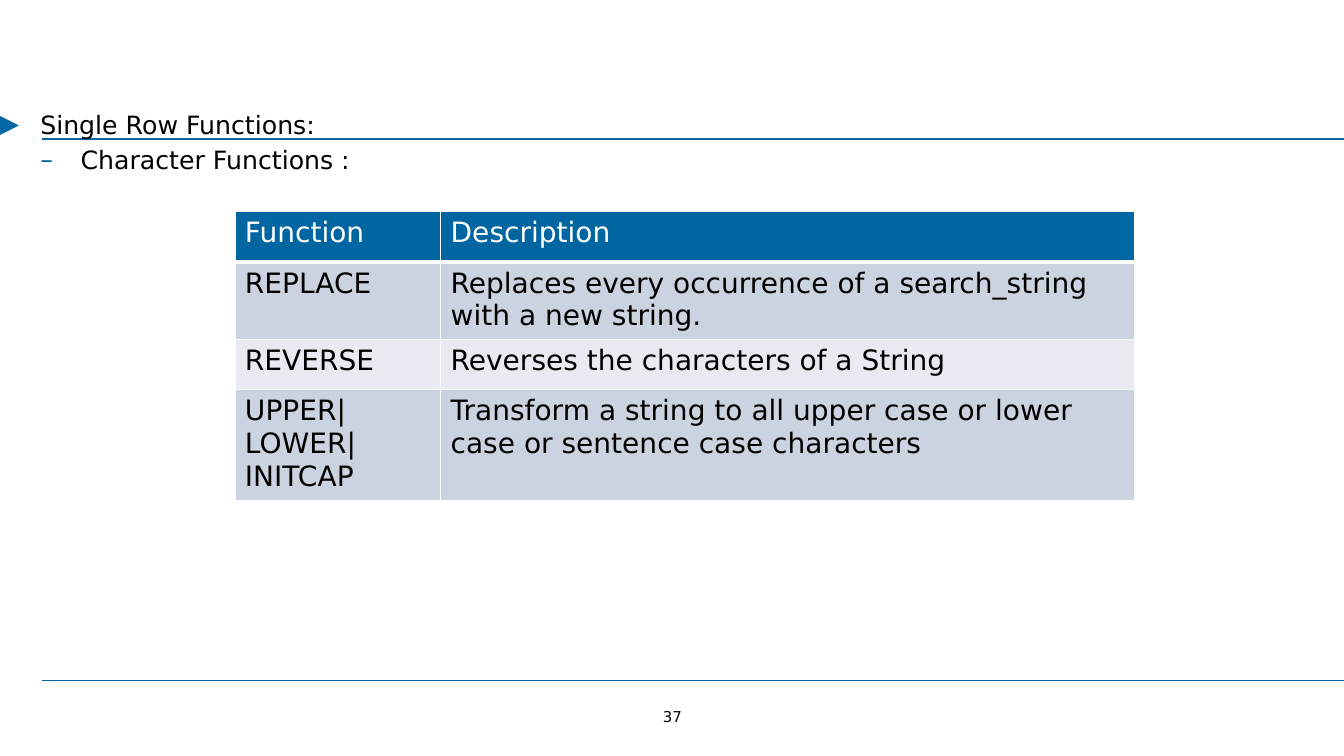
from lxml import etree
from pptx import Presentation
from pptx.dml.color import RGBColor
from pptx.enum.shapes import MSO_CONNECTOR
from pptx.enum.text import MSO_ANCHOR, PP_ALIGN
from pptx.oxml.ns import qn
from pptx.util import Inches, Pt

# Content
OUTLINE = [("▶", "Single Row Functions:"), ("–", "Character Functions :")]
FUNCTIONS = [
    ("Function", "Description"),
    ("REPLACE", "Replaces every occurrence of a search_string with a new string."),
    ("REVERSE", "Reverses the characters of a String"),
    ("UPPER|LOWER|INITCAP",
     "Transform a string to all upper case or lower case or sentence case characters"),
]
PAGE_NUMBER = "37"

# Look and grid
WIDTH, HEIGHT = 13.33, 7.5
FONT = "DejaVu Sans"
BLUE, WHITE, BLACK = "0066A1", "FFFFFF", "000000"
BANDS = ["E7EAF0", "CCD3E0"]
RULE_LEFT, RULE_HEIGHTS = 0.42, (1.38, 6.75)
INDENT = 0.4
COLUMNS, ROW_HEIGHT = (2.04, 6.88), 0.5
STRAIGHT = MSO_CONNECTOR.STRAIGHT


def rgb(color):
    return RGBColor.from_string(color)


def add_run(paragraph, text, size, color=BLACK):
    run = paragraph.add_run()
    run.text = text
    run.font.name, run.font.size, run.font.bold = FONT, Pt(size), False
    run.font.color.rgb = rgb(color)


def add_frame(left, top, width, height, wrap):
    frame = slide.shapes.add_textbox(
        Inches(left), Inches(top), Inches(width), Inches(height)).text_frame
    frame.margin_left = frame.margin_right = 0
    frame.margin_top = frame.margin_bottom = 0
    frame.word_wrap = wrap
    return frame


def add_bullet(paragraph, bullet, level):
    props = paragraph._p.get_or_add_pPr()
    props.set("marL", str(Inches(INDENT * (level + 1))))
    props.set("indent", str(-Inches(INDENT)))
    color = etree.SubElement(props, qn("a:buClr"))
    etree.SubElement(color, qn("a:srgbClr"), val=BLUE)
    etree.SubElement(props, qn("a:buFont"), typeface=FONT)
    etree.SubElement(props, qn("a:buChar"), char=bullet)


def add_border(cell, side, points):
    line = etree.SubElement(cell._tc.get_or_add_tcPr(), qn("a:" + side), w=str(Pt(points)))
    fill = etree.SubElement(line, qn("a:solidFill"))
    etree.SubElement(fill, qn("a:srgbClr"), val=WHITE)


deck = Presentation()
deck.slide_width, deck.slide_height = Inches(WIDTH), Inches(HEIGHT)
slide = deck.slides.add_slide(deck.slide_layouts[6])

# Rules above and below the content
for y in RULE_HEIGHTS:
    rule = slide.shapes.add_connector(
        STRAIGHT, Inches(RULE_LEFT), Inches(y), Inches(WIDTH), Inches(y))
    rule.line.color.rgb, rule.line.width = rgb(BLUE), Pt(1.25)
    etree.SubElement(rule._element.spPr, qn("a:effectLst"))

# Page number
page = add_frame(6.54, 7.02, 0.26, 0.18, False)
page.vertical_anchor = MSO_ANCHOR.MIDDLE
page.paragraphs[0].alignment = PP_ALIGN.CENTER
add_run(page.paragraphs[0], PAGE_NUMBER, 10.7)

# Outline
outline = add_frame(0, 1.08, 9.47, 5.92, True)
for level, (bullet, text) in enumerate(OUTLINE):
    paragraph = outline.add_paragraph() if level else outline.paragraphs[0]
    paragraph.level = level
    add_bullet(paragraph, bullet, level)
    paragraph.space_after = Pt(4)
    add_run(paragraph, text, 18)

# Function table
table = slide.shapes.add_table(
    len(FUNCTIONS), len(COLUMNS), Inches(2.33), Inches(2.1),
    Inches(sum(COLUMNS)), Inches(ROW_HEIGHT * len(FUNCTIONS))).table
for column, width in zip(table.columns, COLUMNS):
    column.width = Inches(width)
for r, entry in enumerate(FUNCTIONS):
    for c, text in enumerate(entry):
        cell = table.cell(r, c)
        for side in ("lnL", "lnR", "lnT", "lnB"):
            under_header = (r, side) in ((0, "lnB"), (1, "lnT"))
            add_border(cell, side, 3 if under_header else 1)
        cell.fill.solid()
        cell.fill.fore_color.rgb = rgb(BANDS[r % 2] if r else BLUE)
        add_run(cell.text_frame.paragraphs[0], text, 20, BLACK if r else WHITE)

deck.save("out.pptx")
